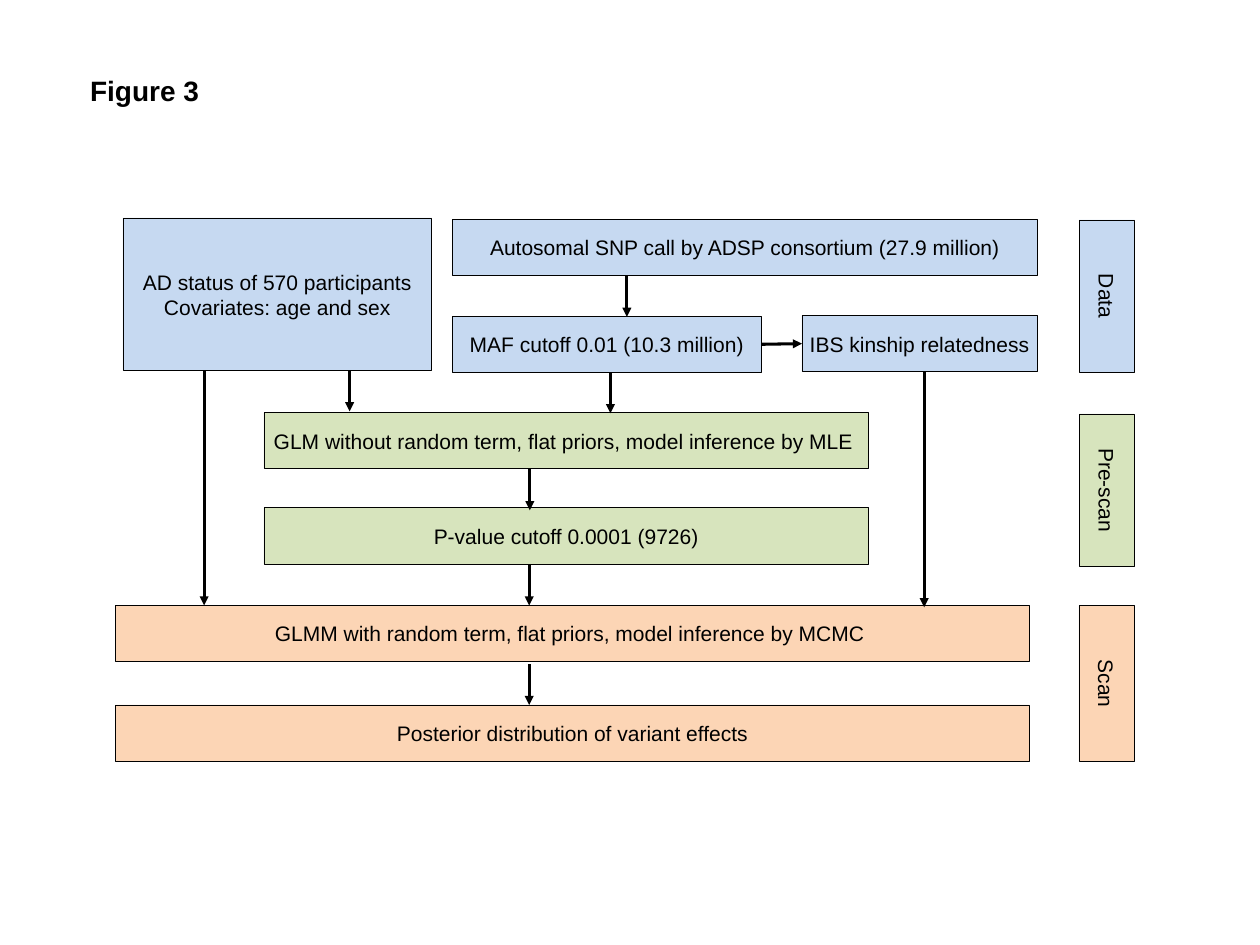
from typing import NamedTuple

from lxml.etree import SubElement
from pptx import Presentation
from pptx.dml.color import RGBColor
from pptx.enum.shapes import MSO_CONNECTOR as Line, MSO_SHAPE as Shape
from pptx.enum.text import MSO_ANCHOR as Anchor, MSO_AUTO_SIZE as Fit, PP_ALIGN as Align
from pptx.oxml.ns import qn
from pptx.shapes.autoshape import Shape as Box
from pptx.shapes.connector import Connector
from pptx.text.text import TextFrame
from pptx.util import Inches, Pt

BLACK = RGBColor(0x00, 0x00, 0x00)
BLUE = RGBColor(0xC6, 0xD9, 0xF1)
GREEN = RGBColor(0xD7, 0xE4, 0xBD)
PEACH = RGBColor(0xFC, 0xD5, 0xB5)

ROW = 0.89
BOTTOM, LEFT, RIGHT = 2, 1, 3


class Step(NamedTuple):
    text: str
    left: float
    top: float
    width: float
    fill: RGBColor
    height: float = ROW
    turn: float = 0


class Arrow(NamedTuple):
    x: float
    top: float
    end: float


SNP = Step("Autosomal SNP call by ADSP consortium (27.9 million)", 7.18, 3.48, 9.28, BLUE)
MAF = Step("MAF cutoff 0.01 (10.3 million)", 7.18, 5.02, 4.9, BLUE)
STATUS = Step("AD status of 570 participants\nCovariates: age and sex", 1.95, 3.46, 4.9, BLUE, 2.42)
KINSHIP = Step("IBS kinship relatedness", 12.73, 5.01, 3.73, BLUE)
GLM = Step("GLM without random term, flat priors, model inference by MLE ", 4.19, 6.55, 9.59, GREEN)
CUTOFF = Step("P-value cutoff 0.0001 (9726)", 4.19, 8.06, 9.59, GREEN)
GLMM = Step("GLMM with random term, flat priors, model inference by MCMC ", 1.83, 9.61, 14.51, PEACH)
RESULT = Step("Posterior distribution of variant effects", 1.83, 11.19, 14.51, PEACH)
STEPS = [SNP, STATUS, GLM, CUTOFF, GLMM, RESULT]

STAGES = [
    Step("Data", 16.36, 4.26, 2.42, BLUE, 0.88, 90),
    Step("Pre-scan", 16.36, 7.34, 2.42, GREEN, 0.88, 90),
    Step("Scan", 16.33, 10.41, 2.47, PEACH, 0.88, 90),
]

ARROWS = [
    Arrow(9.95, 4.37, 5.03),
    Arrow(5.55, 5.88, 6.53),
    Arrow(9.69, 5.91, 6.56),
    Arrow(8.41, 7.44, 8.1),
    Arrow(3.24, 5.88, 9.61),
    Arrow(8.4, 8.95, 9.61),
    Arrow(14.67, 5.9, 9.64),
    Arrow(8.4, 10.54, 11.19),
]


def write(frame: TextFrame, text: str, *, size: float = 24, bold: bool = False,
          align: Align = Align.CENTER) -> None:
    frame.text = text
    for para in frame.paragraphs:
        para.alignment = align
        for run in para.runs:
            font = run.font
            font.name, font.size, font.bold = "Arial", Pt(size), bold
            font.color.rgb = BLACK


def draw_step(slide, step: Step) -> Box:
    box = slide.shapes.add_shape(Shape.RECTANGLE, Inches(step.left), Inches(step.top),
                                 Inches(step.width), Inches(step.height))
    box.shadow.inherit = False
    box.rotation = step.turn
    box.fill.solid()
    box.fill.fore_color.rgb = step.fill
    box.line.color.rgb = BLACK
    box.line.width = Pt(0.75)
    box.text_frame.vertical_anchor = Anchor.MIDDLE
    write(box.text_frame, step.text)
    return box


def draw_arrow(slide, x: float, top: float, end_x: float, end: float) -> Connector:
    arrow = slide.shapes.add_connector(Line.STRAIGHT, Inches(x), Inches(top),
                                       Inches(end_x), Inches(end))
    arrow.line.color.rgb = BLACK
    arrow.line.width = Pt(3.5)
    SubElement(arrow.line._get_or_add_ln(), qn("a:tailEnd"), type="triangle")
    SubElement(arrow._element.spPr, qn("a:effectLst"))
    return arrow


def draw_title(slide) -> None:
    box = slide.shapes.add_textbox(Inches(1.23), Inches(1.07), Inches(2.15), Inches(0.74))
    frame = box.text_frame
    frame.margin_left = frame.margin_right = Inches(0.2)
    frame.margin_top = frame.margin_bottom = Inches(0.1)
    frame.word_wrap = False
    frame.auto_size = Fit.SHAPE_TO_FIT_TEXT
    write(frame, "Figure 3", size=32, bold=True, align=Align.LEFT)


def main() -> None:
    deck = Presentation()
    deck.slide_width, deck.slide_height = Inches(20), Inches(15)
    slide = deck.slides.add_slide(deck.slide_layouts[6])

    draw_title(slide)
    for step in STEPS + STAGES:
        draw_step(slide, step)
    maf, kinship = draw_step(slide, MAF), draw_step(slide, KINSHIP)

    for x, top, end in ARROWS:
        draw_arrow(slide, x, top, x, end)
    mid = MAF.top + ROW / 2
    link = draw_arrow(slide, MAF.left + MAF.width, mid, KINSHIP.left, mid)
    link.begin_connect(maf, RIGHT)
    link.end_connect(kinship, LEFT)

    deck.save("out.pptx")


if __name__ == "__main__":
    main()
